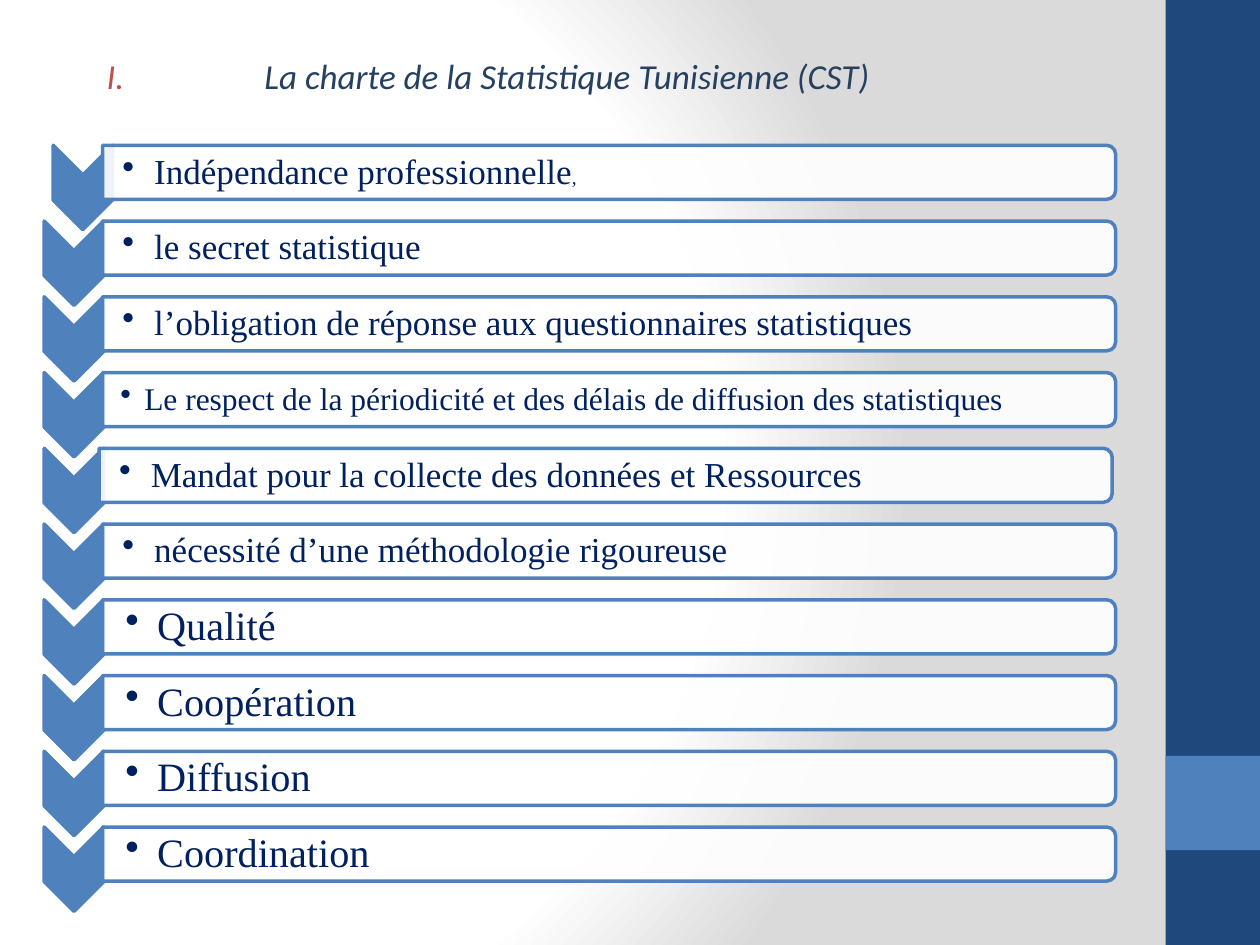
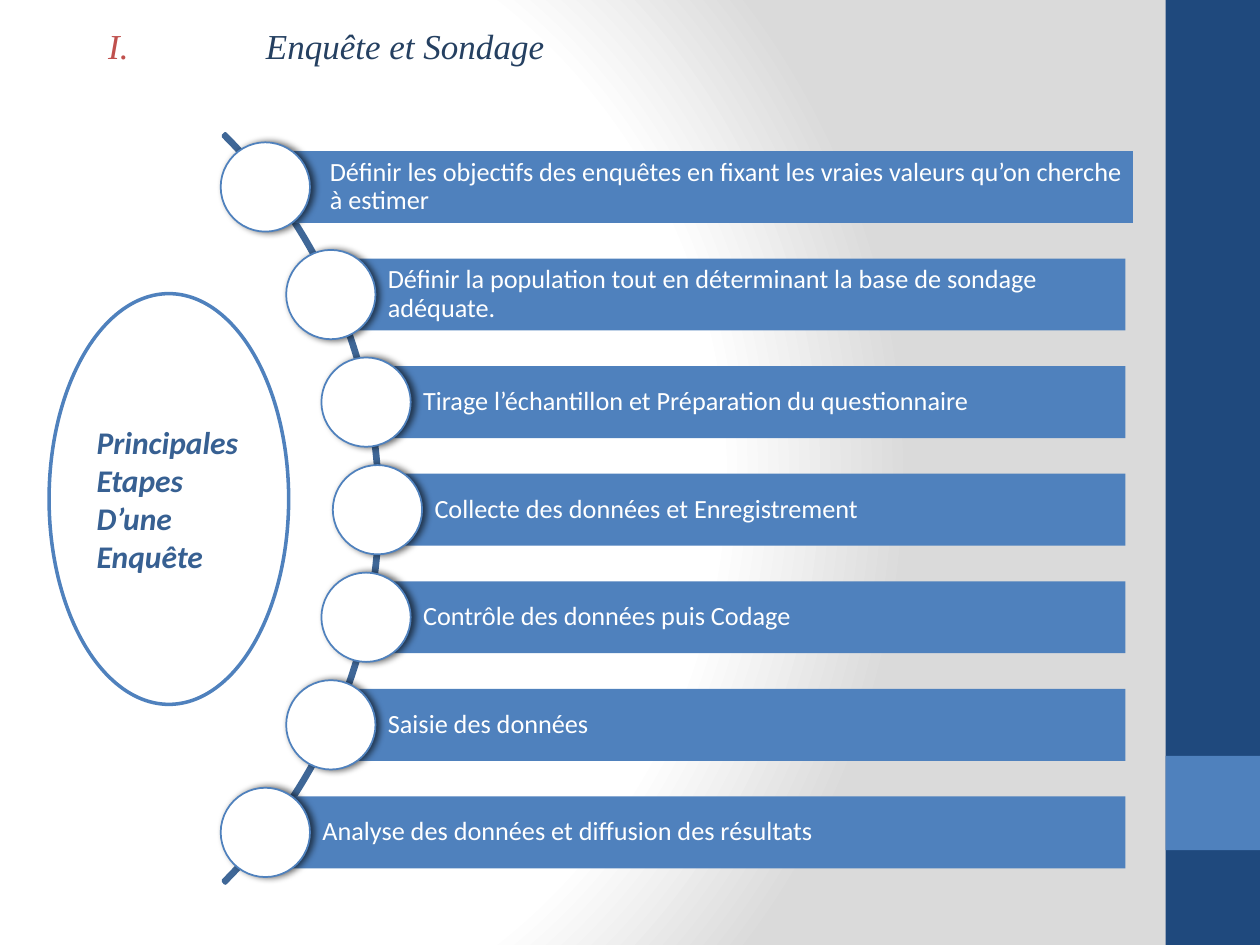
from dataclasses import dataclass

from pptx import Presentation
from pptx.dml.color import RGBColor
from pptx.enum.shapes import MSO_SHAPE as Preset
from pptx.enum.text import MSO_ANCHOR as Anchor, MSO_AUTO_SIZE as AutoSize, PP_ALIGN as Align
from pptx.oxml import parse_xml
from pptx.oxml.ns import nsdecls, qn
from pptx.util import Cm, Pt


@dataclass(frozen=True)
class Theme:
    navy: str = "1F497D"
    blue: str = "4F81BD"
    arc: str = "3F6797"
    white: str = "FFFFFF"
    grey: str = "DADADA"
    title: str = "254061"
    numeral: str = "C0504D"
    principle: str = "002060"
    oval_text: str = "376092"
    sans: str = "Calibri"
    serif: str = "Times New Roman"
    title_size: int = 20
    oval_size: int = 18
    step_size: int = 15
    comma_size: int = 11


@dataclass(frozen=True)
class Box:
    """A rectangle in centimetres."""
    left: float
    top: float
    width: float
    height: float

    def lengths(self):
        return Cm(self.left), Cm(self.top), Cm(self.width), Cm(self.height)

    def inner(self, left, top, width, height):
        return Box(self.left + left, self.top + top, width, height)


THEME = Theme()
SLIDE = Box(0, 0, 25.4, 19.05)

# Text, size, and sideways shifts of the chevron and of the panel
PRINCIPLES = [
    ("Indépendance professionnelle", 20, 0.18, 0),
    ("le secret statistique", 20, 0, 0),
    ("l’obligation de réponse aux questionnaires statistiques", 20, 0, 0),
    ("Le respect de la périodicité et des délais de diffusion des statistiques", 18, 0, 0),
    ("Mandat pour la collecte des données et Ressources", 20, 0, -0.07),
    ("nécessité d’une méthodologie rigoureuse", 20, 0, 0),
    ("Qualité", 23, 0, 0),
    ("Coopération", 23, 0, 0),
    ("Diffusion", 23, 0, 0),
    ("Coordination", 23, 0, 0),
]
STEPS = [
    "Définir les objectifs des enquêtes en fixant les vraies valeurs qu’on cherche à estimer",
    "Définir la population tout en déterminant la base de sondage adéquate.",
    "Tirage l’échantillon et Préparation du questionnaire",
    "Collecte des données et Enregistrement",
    "Contrôle des données puis Codage",
    "Saisie des données",
    "Analyse des données et diffusion des résultats",
]


def rgb(color):
    return RGBColor.from_string(color)


def drawing(xml):
    """Parse one DrawingML element."""
    return parse_xml(xml.replace(">", f" {nsdecls('a')}>", 1) if "/>" not in xml.split(">")[0] + ">"
                     else xml.replace("/>", f" {nsdecls('a')}/>", 1))


def set_text(shape, text, *, size, font, color, bold=False, italic=False, spacing=1.0,
             anchor=Anchor.MIDDLE, insets=(0.25, 0.13, 0.25, 0.13), tail=None):
    """Write one left-aligned paragraph; tail is (text, size) of a last run."""
    frame = shape.text_frame
    frame.word_wrap = True
    frame.auto_size = AutoSize.NONE
    frame.vertical_anchor = anchor
    (frame.margin_left, frame.margin_top,
     frame.margin_right, frame.margin_bottom) = map(Cm, insets)
    paragraph = frame.paragraphs[0]
    paragraph.alignment = Align.LEFT
    paragraph.line_spacing = spacing
    for run_text, run_size in [(text, size)] + ([tail] if tail else []):
        run = paragraph.add_run()
        run.text = run_text
        run.font.size, run.font.name = Pt(run_size), font
        run.font.bold, run.font.italic = bold, italic
        run.font.color.rgb = rgb(color)
    return paragraph


def set_bullet(paragraph, hanging, *marks):
    """Hang the paragraph and add its bullet elements."""
    properties = paragraph._p.get_or_add_pPr()
    properties.set("marL", str(Cm(hanging)))
    properties.set("indent", str(-Cm(hanging)))
    for mark in marks:
        properties.append(drawing(mark))


def add_shape(slide, preset, box, *, fill=None, line=None, weight=2, alpha=None):
    shape = slide.shapes.add_shape(preset, *box.lengths())
    shape.shadow.inherit = False
    if fill:
        shape.fill.solid()
        shape.fill.fore_color.rgb = rgb(fill)
        if alpha:
            color = shape.element.spPr.find(".//" + qn("a:srgbClr"))
            color.append(drawing(f'<a:alpha val="{alpha * 1000}"/>'))
    else:
        shape.fill.background()
    if line:
        shape.line.color.rgb = rgb(line)
        shape.line.width = Pt(weight)
    else:
        shape.line.fill.background()
    return shape


def add_turned(slide, preset, box, **style):
    """Add a shape turned by 90 degrees that fills the box as seen."""
    shift = (box.width - box.height) / 2
    shape = add_shape(slide, preset, box.inner(shift, -shift, box.height, box.width), **style)
    shape.rotation = 90
    return shape


def add_soft_shadow(shape):
    effects = shape.element.spPr.find(qn("a:effectLst"))
    effects.append(drawing(
        f'<a:outerShdw blurRad="{Pt(4)}" dist="{Pt(2)}" dir="0">'
        '<a:srgbClr val="000000"><a:alpha val="60000"/></a:srgbClr></a:outerShdw>'))


# Shared look
def set_background(master):
    stops = "".join(f'<a:gs pos="{place * 1000}"><a:srgbClr val="{color}"/></a:gs>'
                    for place, color in ((0, THEME.white), (75, THEME.white), (100, THEME.grey)))
    master.background.fill.solid()
    properties = master.element.find(".//" + qn("p:bgPr"))
    properties.replace(properties[0], drawing(
        f'<a:gradFill rotWithShape="1"><a:gsLst>{stops}</a:gsLst><a:path path="circle">'
        '<a:fillToRect l="20000" t="50000" r="100000" b="50000"/></a:path></a:gradFill>'))


def add_side_band(slide, master, box):
    """Draw the band and move it behind everything on the master."""
    band = add_shape(slide, Preset.RECTANGLE, box, fill=THEME.navy)
    accent = add_shape(slide, Preset.RECTANGLE,
                       box.inner(0, 15.24, box.width, box.width), fill=THEME.blue)
    for place, shape in enumerate((band, accent), start=2):
        master.shapes.element.insert(place, shape.element)


def add_title(slide, text, box, font):
    title = slide.shapes.title
    title.left, title.top, title.width, title.height = box.lengths()
    paragraph = set_text(title, text, size=THEME.title_size, font=font, color=THEME.title,
                         italic=True, spacing=0.8, anchor=Anchor.TOP)
    set_bullet(paragraph, 3.18,
               f'<a:buClr><a:srgbClr val="{THEME.numeral}"/></a:buClr>',
               '<a:buFont typeface="+mj-lt"/>',
               '<a:buAutoNum type="romanUcPeriod"/>')


# Slide of the charter: chevrons with rounded panels
def add_principles(slide, box):
    pitch = box.height / len(PRINCIPLES)
    for index, (text, size, chevron_shift, panel_shift) in enumerate(PRINCIPLES):
        row = box.inner(0, index * pitch, box.width, pitch)
        add_turned(slide, Preset.CHEVRON, row.inner(chevron_shift, 0, 1.2, 1.7),
                   fill=THEME.blue, line=THEME.blue)
        panel = row.inner(1.18 + panel_shift, 0, box.width - 1.18, 1.09)
        add_turned(slide, Preset.ROUND_2_SAME_RECTANGLE, panel,
                   fill=THEME.white, line=THEME.blue, alpha=90)
        label = slide.shapes.add_textbox(*panel.inner(0, 0.06, panel.width, 0.99).lengths())
        paragraph = set_text(label, text, size=size, font=THEME.serif, color=THEME.principle,
                             spacing=0.9, insets=(size * 0.02, 0.03, 0.03, 0.03),
                             tail=(",", THEME.comma_size) if index == 0 else None)
        set_bullet(paragraph, 0.48 if size == 18 else 0.64, '<a:buChar char="•"/>')


# Slide of the survey: bars and discs along an arc
def add_steps(slide, box):
    arc = add_shape(slide, Preset.BLOCK_ARC, box.inner(-18.14, -3.3, 21.36, 21.36),
                    line=THEME.arc)
    for place, value in enumerate((189, 27, 0.003)):
        arc.adjustments[place] = value

    pitch, disc, bar_height = box.height / len(STEPS), 1.8, 1.45
    centres = (3.16, 2.93, 2.22, 0.9)  # from the middle row outwards
    middle = len(STEPS) // 2
    for index, text in enumerate(STEPS):
        centre = centres[abs(index - middle)]
        shift = 0.15 if index == 0 else 0
        row = box.inner(0, index * pitch, box.width, disc)
        bar = add_shape(slide, Preset.RECTANGLE,
                        row.inner(centre + shift, (disc - bar_height) / 2,
                                  box.width - centre, bar_height), fill=THEME.blue)
        set_text(bar, text, size=THEME.step_size, font=THEME.sans, color=THEME.white,
                 spacing=0.9, insets=(1.15, 0.1, 0.1, 0.1))
        add_soft_shadow(add_shape(slide, Preset.OVAL, row.inner(centre - disc / 2, 0, disc, disc),
                                  fill=THEME.white, line=THEME.blue, weight=1))


def add_subject_oval(slide, box):
    oval = add_shape(slide, Preset.OVAL, box, fill=THEME.white, line=THEME.blue)
    set_text(oval, "Principales Etapes D’une Enquête", size=THEME.oval_size, font=THEME.sans,
             color=THEME.oval_text, bold=True, italic=True, insets=(0.25, 0.13, 0.2, 0.13))


def main():
    presentation = Presentation()
    presentation.slide_width, presentation.slide_height = Cm(SLIDE.width), Cm(SLIDE.height)
    master = presentation.slide_master
    title_only = presentation.slide_layouts[5]
    charter, survey = (presentation.slides.add_slide(title_only) for _ in range(2))

    set_background(master)
    add_side_band(charter, master, Box(23.5, 0, 1.9, SLIDE.height))

    add_title(charter, "La charte de la Statistique Tunisienne (CST)",
              Box(1.9, 1.14, 23.09, 0.94), THEME.sans)
    add_principles(charter, Box(0.89, 2.93, 21.6, 15.27))

    add_title(survey, "Enquête et Sondage", Box(1.93, 0.53, 11.38, 0.94), THEME.serif)
    add_steps(survey, Box(4.45, 2.87, 18.24, 15.18))
    add_subject_oval(survey, Box(0.99, 5.92, 4.83, 8.28))

    presentation.save("out.pptx")


if __name__ == "__main__":
    main()
